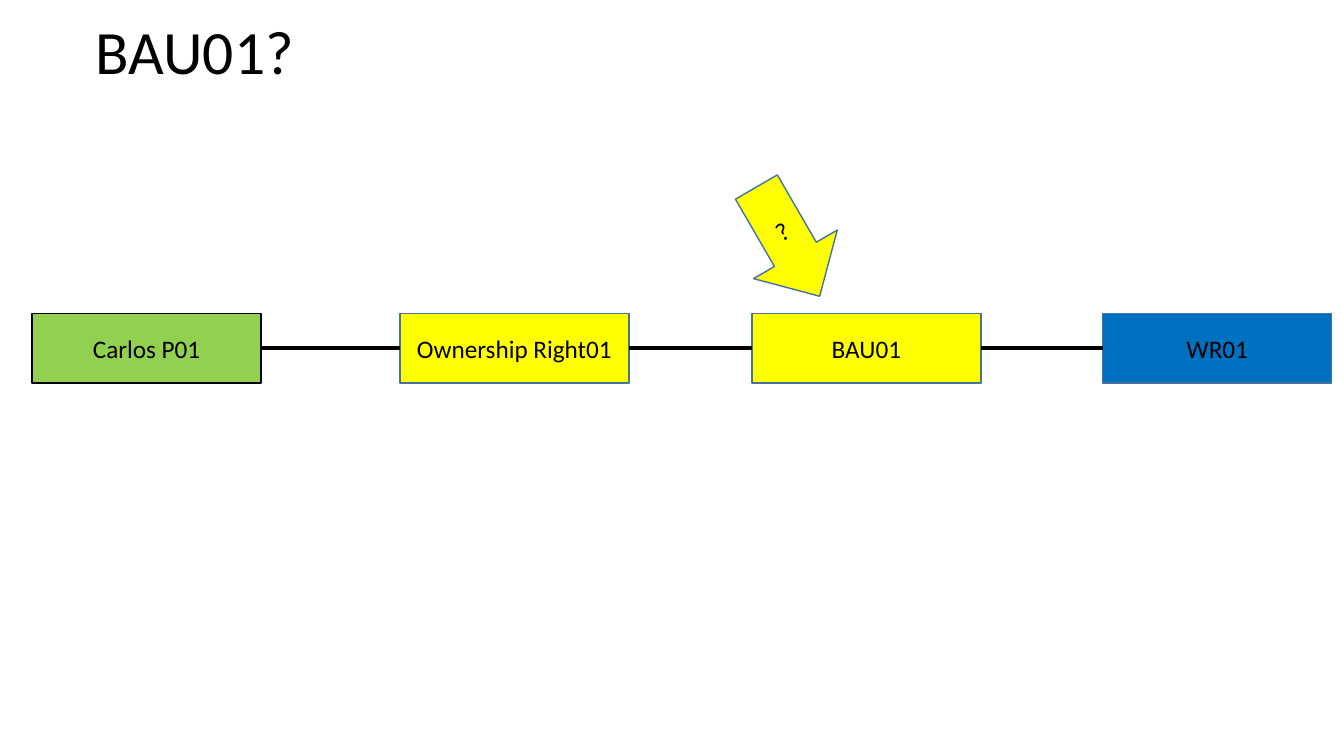
from dataclasses import dataclass
from itertools import pairwise

from lxml.etree import SubElement
from pptx import Presentation
from pptx.dml.color import RGBColor
from pptx.enum.shapes import MSO_CONNECTOR, MSO_SHAPE
from pptx.enum.text import MSO_ANCHOR, MSO_AUTO_SIZE, PP_ALIGN
from pptx.oxml.ns import qn
from pptx.util import Cm, Pt


@dataclass(frozen=True)
class Theme:
    """Colours, font and sizes of the slide."""
    font: str = "Calibri"
    black: str = "000000"
    outline: str = "43739E"
    yellow: str = "FFFF00"
    green: str = "92D050"
    blue: str = "0070C0"
    title_size: int = 44
    label_size: int = 18
    outline_width: int = 1
    link_width: int = 3


THEME = Theme()
BOX_TOP, BOX_WIDTH, BOX_HEIGHT = 7.9, 5.77, 1.75
RIGHT_SIDE, LEFT_SIDE = 3, 1
CHAIN = [
    ("Carlos P01", 0.81, THEME.green, THEME.black),
    ("Ownership Right01", 10.08, THEME.yellow, THEME.outline),
    ("BAU01", 18.95, THEME.yellow, THEME.outline),
    ("WR01", 27.79, THEME.blue, THEME.outline),
]


def write(frame, text, size, align, anchor):
    """Put one formatted paragraph in a text frame."""
    frame.text = text
    frame.word_wrap = True
    frame.auto_size = MSO_AUTO_SIZE.NONE
    frame.vertical_anchor = anchor
    para = frame.paragraphs[0]
    para.alignment = align
    para.font.name = THEME.font
    para.font.size = Pt(size)
    para.font.color.rgb = RGBColor.from_string(THEME.black)
    return para


def add_title(page, text):
    """Fill and place the title placeholder."""
    title = page.shapes.title
    title.left, title.top = Cm(2.16), Cm(0.41)
    title.width, title.height = Cm(29.21), Cm(3.68)
    para = write(title.text_frame, text, THEME.title_size, PP_ALIGN.LEFT, MSO_ANCHOR.TOP)
    para.line_spacing = 0.9


def add_labelled_shape(page, kind, place, text, fill, outline):
    """Add a filled, outlined shape with a centred label."""
    shape = page.shapes.add_shape(kind, *map(Cm, place))
    shape.shadow.inherit = False
    shape.fill.solid()
    shape.fill.fore_color.rgb = RGBColor.from_string(fill)
    shape.line.color.rgb = RGBColor.from_string(outline)
    shape.line.width = Pt(THEME.outline_width)
    write(shape.text_frame, text, THEME.label_size, PP_ALIGN.CENTER, MSO_ANCHOR.MIDDLE)
    return shape


def add_link(page, start, end):
    """Join the facing sides of two neighbouring boxes."""
    link = page.shapes.add_connector(MSO_CONNECTOR.STRAIGHT, 0, 0, 0, 0)
    link.begin_connect(start, RIGHT_SIDE)
    link.end_connect(end, LEFT_SIDE)
    link.line.color.rgb = RGBColor.from_string(THEME.black)
    link.line.width = Pt(THEME.link_width)
    SubElement(link._element.spPr, qn("a:effectLst"))


def main():
    """Build the ownership chain slide."""
    deck = Presentation()
    deck.slide_width, deck.slide_height = Cm(33.87), Cm(19.05)
    page = deck.slides.add_slide(deck.slide_layouts[5])
    add_title(page, "BAU01?")
    boxes = [
        add_labelled_shape(page, MSO_SHAPE.RECTANGLE, (left, BOX_TOP, BOX_WIDTH, BOX_HEIGHT),
                           text, fill, outline)
        for text, left, fill, outline in CHAIN
    ]
    for start, end in pairwise(boxes):
        add_link(page, start, end)
    arrow = add_labelled_shape(page, MSO_SHAPE.DOWN_ARROW, (18.64, 4.5, 2.44, 3.18),
                               "?", THEME.yellow, THEME.outline)
    arrow.rotation = 329.9
    deck.save("out.pptx")


if __name__ == "__main__":
    main()
